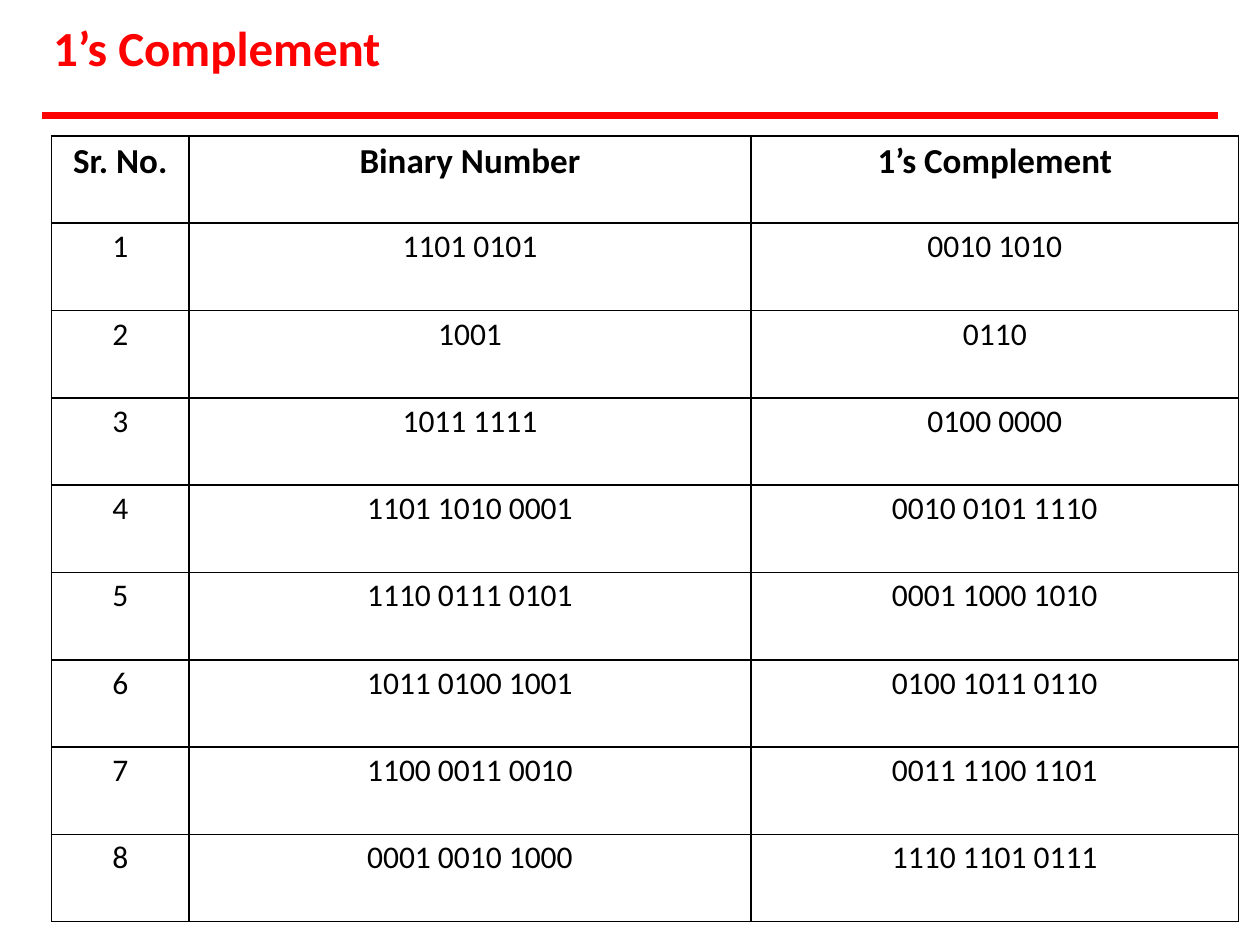
from typing import NamedTuple

from lxml.etree import SubElement
from pptx import Presentation
from pptx.dml.color import RGBColor
from pptx.enum.shapes import MSO_CONNECTOR
from pptx.enum.text import MSO_ANCHOR, PP_ALIGN
from pptx.oxml.ns import qn
from pptx.util import Cm, Pt

RED = RGBColor(0xFF, 0x00, 0x00)
BLACK = RGBColor(0x00, 0x00, 0x00)
FONT = "Calibri"


class Row(NamedTuple):
    number: str
    binary: str
    complement: str


ROWS = [
    Row("Sr. No.", "Binary Number", "1’s Complement"),
    Row("1", "1101 0101", "0010 1010"),
    Row("2", "1001", "0110"),
    Row("3", "1011 1111", "0100 0000"),
    Row("4", "1101 1010 0001", "0010 0101 1110"),
    Row("5", "1110 0111 0101", "0001 1000 1010"),
    Row("6", "1011 0100 1001", "0100 1011 0110"),
    Row("7", "1100 0011 0010", "0011 1100 1101"),
    Row("8", "0001 0010 1000", "1110 1101 0111"),
]
COLUMN_WIDTHS = [Cm(2.77), Cm(11.33), Cm(9.83)]
ROW_HEIGHT = Cm(1.76)


def style_font(p, size: int, color: RGBColor, bold: bool) -> None:
    p.font.name = FONT
    p.font.size = Pt(size)
    p.font.color.rgb = color
    p.font.bold = bold


def add_title(s, text: str) -> None:
    title = s.shapes.title
    title.left, title.top, title.width, title.height = Cm(1.07), Cm(0.33), Cm(6.71), Cm(1.27)
    tf = title.text_frame
    tf.text = text
    tf.word_wrap = False
    tf.vertical_anchor = MSO_ANCHOR.TOP
    tf.margin_left = tf.margin_right = tf.margin_bottom = 0
    tf.margin_top = Cm(0.03)
    p = tf.paragraphs[0]
    p.alignment = PP_ALIGN.LEFT
    style_font(p, 28, RED, True)


def add_rule(s) -> None:
    y = Cm(2.33)
    rule = s.shapes.add_connector(MSO_CONNECTOR.STRAIGHT, Cm(0.84), y, Cm(24.55), y)
    rule.line.color.rgb = RED
    rule.line.width = Pt(4)
    SubElement(rule._element.spPr, qn("a:effectLst"))


def add_borders(cell) -> None:
    tc_pr = cell._tc.get_or_add_tcPr()
    for side in ("a:lnL", "a:lnR", "a:lnT", "a:lnB"):
        ln = SubElement(tc_pr, qn(side), w=str(Pt(1)))
        fill = SubElement(ln, qn("a:solidFill"))
        SubElement(fill, qn("a:srgbClr"), val=str(BLACK))


def fill_cell(cell, text: str, header: bool) -> None:
    cell.text = text
    cell.margin_left = cell.margin_right = cell.margin_bottom = 0
    cell.margin_top = Cm(0.09)
    add_borders(cell)
    cell.fill.background()
    p = cell.text_frame.paragraphs[0]
    p.alignment = PP_ALIGN.CENTER
    style_font(p, 20 if header else 18, BLACK, header)


def add_number_table(s, rows: list[Row]) -> None:
    table = s.shapes.add_table(
        len(rows), len(COLUMN_WIDTHS), Cm(1.04), Cm(2.74),
        sum(COLUMN_WIDTHS), ROW_HEIGHT * len(rows),
    ).table
    table.first_row = table.horz_banding = False
    for column, width in zip(table.columns, COLUMN_WIDTHS):
        column.width = width
    for i, row in enumerate(rows):
        table.rows[i].height = ROW_HEIGHT
        for j, text in enumerate(row):
            fill_cell(table.cell(i, j), text, header=i == 0)


def main() -> None:
    prs = Presentation()
    prs.slide_width, prs.slide_height = Cm(25.4), Cm(19.05)
    s = prs.slides.add_slide(prs.slide_layouts.get_by_name("Title Only"))
    add_title(s, "1’s Complement")
    add_number_table(s, ROWS)
    add_rule(s)
    prs.save("out.pptx")


if __name__ == "__main__":
    main()
